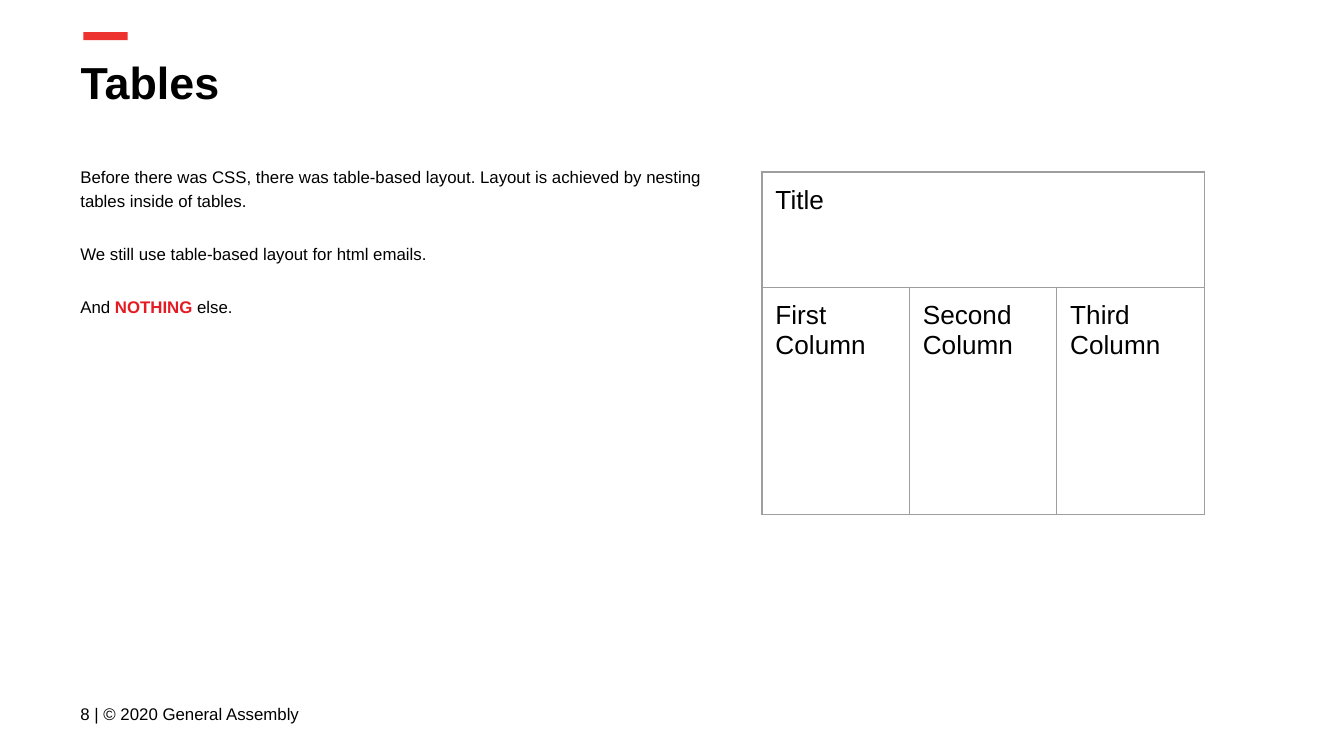
from typing import NamedTuple

import pptx
import pptx.dml.color
import pptx.enum.shapes
import pptx.enum.text
import pptx.oxml
import pptx.oxml.ns
import pptx.util

Inches = pptx.util.Inches
Pt = pptx.util.Pt
RGBColor = pptx.dml.color.RGBColor
Anchor = pptx.enum.text.MSO_ANCHOR

BLACK = RGBColor(0x00, 0x00, 0x00)
WHITE = RGBColor(0xFF, 0xFF, 0xFF)
ACCENT_RED = RGBColor(0xED, 0x33, 0x2F)
EMPHASIS_RED = RGBColor(0xE5, 0x1B, 0x24)
GRID_GRAY = RGBColor(0x9E, 0x9E, 0x9E)

FONT = "Arial"
MARGIN = Inches(0.1)
LEFT = 0.5
TABLE_WIDTH = 3.29
ROW_HEIGHTS = (0.86, 1.69)


class Span(NamedTuple):
    text: str
    color: RGBColor = BLACK
    bold: bool = False


BODY = (
    (Span("Before there was CSS, there was table-based layout. "
          "Layout is achieved by nesting tables inside of tables."),),
    (Span("We still use table-based layout for html emails."),),
    (Span("And "), Span("NOTHING ", EMPHASIS_RED, True), Span("else.")),
)
COLUMN_LABELS = ("First Column", "Second Column", "Third Column")


def add_span(paragraph, span: Span, size: float) -> None:
    run = paragraph.add_run()
    run.text = span.text
    run.font.name = FONT
    run.font.size = Pt(size)
    run.font.bold = span.bold
    run.font.color.rgb = span.color


def set_margins(area) -> None:
    """Apply the common inset to a text frame or a table cell."""
    area.margin_left = area.margin_right = MARGIN
    area.margin_top = area.margin_bottom = MARGIN


def prepare_frame(shape, anchor: Anchor):
    frame = shape.text_frame
    frame.word_wrap = True
    frame.auto_size = pptx.enum.text.MSO_AUTO_SIZE.NONE
    frame.vertical_anchor = anchor
    set_margins(frame)
    frame.paragraphs[0].alignment = pptx.enum.text.PP_ALIGN.LEFT
    return frame


def add_accent_bar(slide) -> None:
    bar = slide.shapes.add_shape(
        pptx.enum.shapes.MSO_SHAPE.RECTANGLE,
        Inches(0.62), Inches(0.24), Inches(0.33), Inches(0.06))
    bar.shadow.inherit = False
    bar.fill.solid()
    bar.fill.fore_color.rgb = ACCENT_RED
    bar.line.fill.background()


def set_title(slide) -> None:
    title = slide.shapes.title
    title.left, title.top = Inches(LEFT), Inches(0.31)
    title.width, title.height = Inches(9.32), Inches(0.63)
    frame = prepare_frame(title, Anchor.TOP)
    add_span(frame.paragraphs[0], Span("Tables", bold=True), 24)


def add_body(slide) -> None:
    body = slide.shapes.add_textbox(
        Inches(LEFT), Inches(1.12), Inches(5.07), Inches(3.89))
    frame = prepare_frame(body, Anchor.TOP)
    for index, spans in enumerate(BODY):
        paragraph = frame.add_paragraph() if index else frame.paragraphs[0]
        paragraph.line_spacing = 1.15
        if index:
            paragraph.space_before = Pt(16)
        for span in spans:
            add_span(paragraph, span, 9)


def add_footer(slide) -> None:
    footer = slide.shapes.add_textbox(
        Inches(LEFT), Inches(5.1), Inches(2.59), Inches(0.43))
    frame = prepare_frame(footer, Anchor.MIDDLE)
    add_span(frame.paragraphs[0], Span("8 | © 2020 General Assembly"), 9)


def style_cell(cell) -> None:
    """Give a cell its grid lines, white fill and inset."""
    properties = cell._tc.get_or_add_tcPr()
    for side in ("lnL", "lnR", "lnT", "lnB"):
        properties.append(pptx.oxml.parse_xml(
            f'<a:{side} {pptx.oxml.ns.nsdecls("a")} w="{Pt(0.75)}">'
            f'<a:solidFill><a:srgbClr val="{GRID_GRAY}"/></a:solidFill>'
            f'</a:{side}>'))
    cell.fill.solid()
    cell.fill.fore_color.rgb = WHITE
    set_margins(cell)


def add_layout_table(slide) -> None:
    columns = len(COLUMN_LABELS)
    table = slide.shapes.add_table(
        len(ROW_HEIGHTS), columns, Inches(5.67), Inches(1.28),
        Inches(TABLE_WIDTH), Inches(sum(ROW_HEIGHTS))).table
    table.first_row = table.horz_banding = False
    for column in table.columns:
        column.width = Inches(TABLE_WIDTH / columns)
    for row, height in zip(table.rows, ROW_HEIGHTS):
        row.height = Inches(height)
    for cell in table.iter_cells():
        style_cell(cell)
    title_cell = table.cell(0, 0)
    title_cell.merge(table.cell(0, columns - 1))
    add_span(title_cell.text_frame.paragraphs[0], Span("Title"), 14)
    for index, label in enumerate(COLUMN_LABELS):
        frame = table.cell(1, index).text_frame
        add_span(frame.paragraphs[0], Span(label), 14)


def main() -> None:
    deck = pptx.Presentation()
    deck.slide_width = Inches(10)
    deck.slide_height = deck.slide_width * 9 // 16
    slide = deck.slides.add_slide(deck.slide_layouts.get_by_name("Title Only"))
    add_accent_bar(slide)
    set_title(slide)
    add_body(slide)
    add_footer(slide)
    add_layout_table(slide)
    deck.save("out.pptx")


if __name__ == "__main__":
    main()
